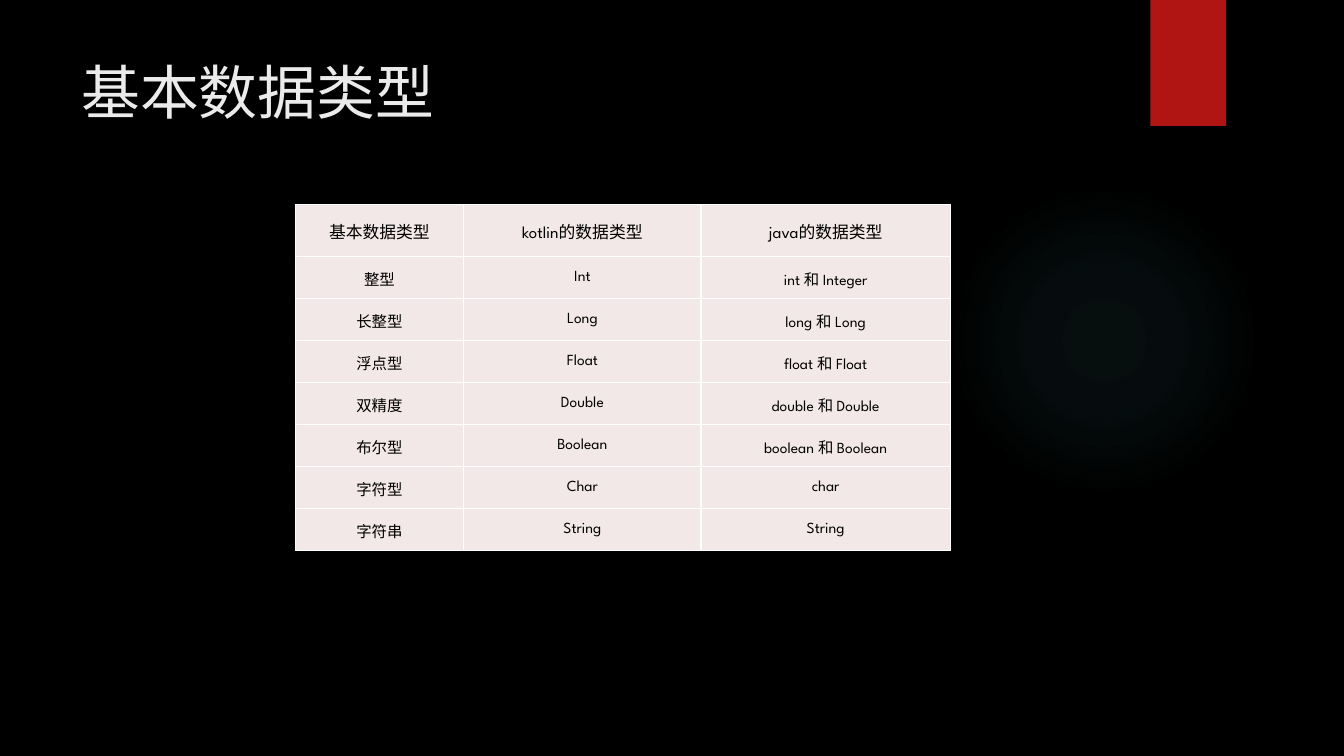
"""Build a dark slide comparing the basic data types of kotlin and java."""
from dataclasses import dataclass

from lxml import etree
from pptx import Presentation
from pptx import util as u
from pptx.dml.color import RGBColor
from pptx.enum import lang, shapes, text
from pptx.oxml import ns

TITLE = "基本数据类型"
ROWS = [
    ("基本数据类型", "kotlin的数据类型", "java的数据类型"),
    ("整型", "Int", "int 和 Integer"),
    ("长整型", "Long", "long 和 Long"),
    ("浮点型", "Float", "float 和 Float"),
    ("双精度", "Double", "double 和 Double"),
    ("布尔型", "Boolean", "boolean 和 Boolean"),
    ("字符型", "Char", "char"),
    ("字符串", "String", "String"),
]
GLOW_STOPS = [(0, 7), (36, 6), (69, 0)]

SLIDE_SIZE = (960, 540)
GLOW_BOX = (677.5, 131.8, 221.8, 221.8)
RIBBON_BOX = (821.8, 0, 54, 90)
TITLE_BOX = (51, 36, 741, 110)
TABLE_ORIGIN = (210.8, 146)
COLUMN_WIDTHS = (120.5, 169.5, 178)
HEADER_HEIGHT, ROW_HEIGHT = 37.4, 30
CELL_INSET = 0.75


@dataclass(frozen=True)
class Theme:
    font: str = "League Spartan"
    background: str = "000000"
    glow: str = "50B9C1"
    ribbon: str = "B01513"
    title: str = "EBEBEB"
    cell: str = "F2E8E7"
    border: str = "FFFFFF"
    body: str = "000000"
    title_size: float = 42
    header_size: float = 12
    body_size: float = 11
    border_width: float = 1


THEME = Theme()


def points(values):
    return [u.Pt(value) for value in values]


def paint(fill, color):
    fill.solid()
    fill.fore_color.rgb = RGBColor.from_string(color)


def add_span(para, words, size, color):
    span = para.add_run()
    span.text = words
    span.font.name = THEME.font
    span.font.size = u.Pt(size)
    span.font.color.rgb = RGBColor.from_string(color)
    span.font.language_id = lang.MSO_LANGUAGE_ID.SIMPLIFIED_CHINESE


def add_plain_shape(page, kind, box, color):
    shape = page.shapes.add_shape(kind, *points(box))
    shape.shadow.inherit = False
    shape.line.fill.background()
    paint(shape.fill, color)
    return shape


def add_glow(page):
    glow = add_plain_shape(page, shapes.MSO_SHAPE.OVAL, GLOW_BOX, THEME.glow)
    stops = "".join(
        f'<a:gs pos="{place * 1000}"><a:srgbClr val="{THEME.glow}">'
        f'<a:alpha val="{alpha * 1000}"/></a:srgbClr></a:gs>'
        for place, alpha in GLOW_STOPS
    )
    gradient = etree.fromstring(
        f'<a:gradFill {ns.nsdecls("a")}><a:gsLst>{stops}</a:gsLst><a:path path="circle">'
        '<a:fillToRect l="50000" t="50000" r="50000" b="50000"/></a:path></a:gradFill>'
    )
    properties = glow.element.spPr
    properties.replace(properties.find(ns.qn("a:solidFill")), gradient)


def add_title(page):
    box = page.shapes.add_textbox(*points(TITLE_BOX))
    box.text_frame.word_wrap = True
    box.text_frame.vertical_anchor = text.MSO_ANCHOR.TOP
    add_span(box.text_frame.paragraphs[0], TITLE, THEME.title_size, THEME.title)


def add_borders(cell):
    properties = cell._tc.get_or_add_tcPr()
    for index, side in enumerate(("lnL", "lnR", "lnT", "lnB")):
        properties.insert(index, etree.fromstring(
            f'<a:{side} {ns.nsdecls("a")} w="{u.Pt(THEME.border_width)}"><a:solidFill>'
            f'<a:srgbClr val="{THEME.border}"/></a:solidFill></a:{side}>'
        ))


def fill_cell(cell, words, size):
    paint(cell.fill, THEME.cell)
    cell.margin_left = cell.margin_right = cell.margin_top = u.Pt(CELL_INSET)
    cell.margin_bottom = 0
    cell.vertical_anchor = text.MSO_ANCHOR.MIDDLE
    para = cell.text_frame.paragraphs[0]
    para.alignment = text.PP_ALIGN.CENTER
    add_span(para, words, size, THEME.body)
    add_borders(cell)


def add_type_table(page):
    heights = [HEADER_HEIGHT] + [ROW_HEIGHT] * (len(ROWS) - 1)
    extent = (*TABLE_ORIGIN, sum(COLUMN_WIDTHS), sum(heights))
    table = page.shapes.add_table(len(ROWS), len(COLUMN_WIDTHS), *points(extent)).table
    for column, width in zip(table.columns, points(COLUMN_WIDTHS)):
        column.width = width
    for index, (row, height) in enumerate(zip(table.rows, points(heights))):
        row.height = height
        size = THEME.body_size if index else THEME.header_size
        for cell, words in zip(row.cells, ROWS[index]):
            fill_cell(cell, words, size)


def main():
    deck = Presentation()
    deck.slide_width, deck.slide_height = points(SLIDE_SIZE)
    page = deck.slides.add_slide(deck.slide_layouts[6])
    paint(page.background.fill, THEME.background)
    add_glow(page)
    add_plain_shape(page, shapes.MSO_SHAPE.RECTANGLE, RIBBON_BOX, THEME.ribbon)
    add_title(page)
    add_type_table(page)
    deck.save("out.pptx")


if __name__ == "__main__":
    main()
